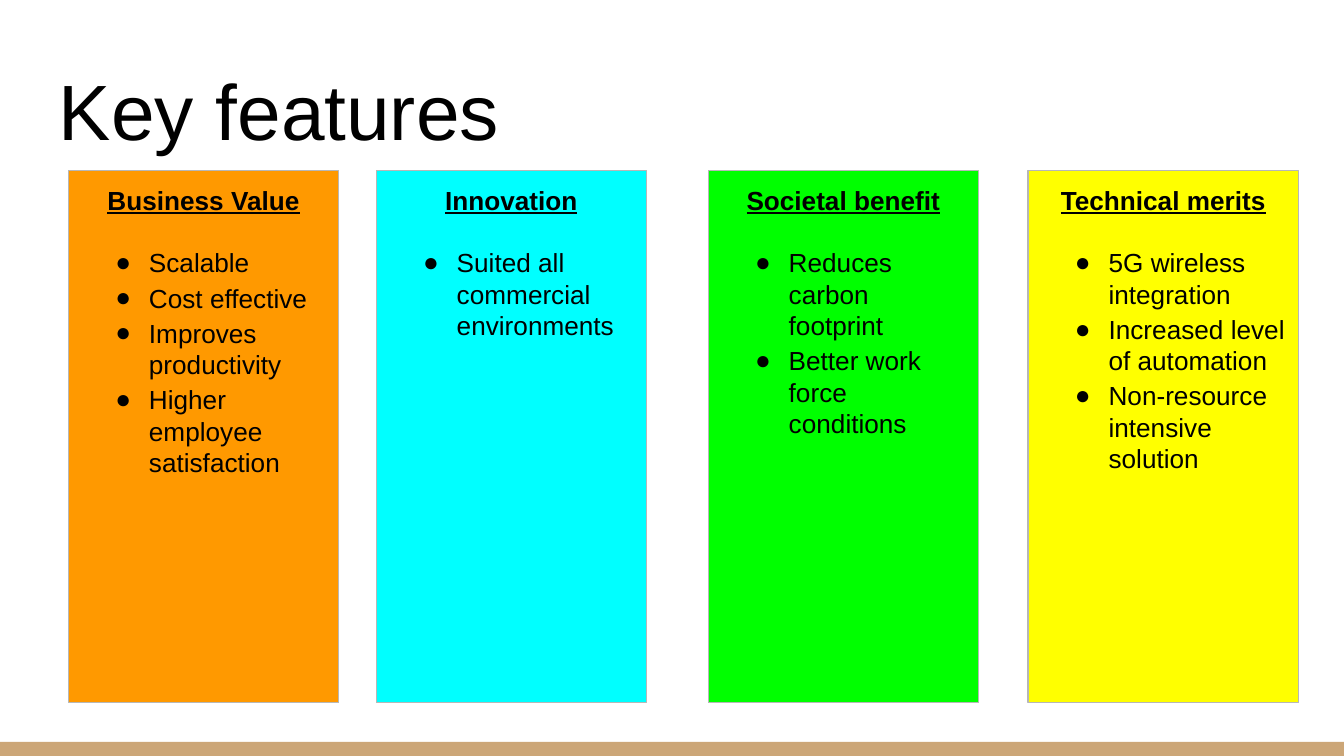
from lxml import etree
from pptx import Presentation
from pptx import util as u
from pptx.dml.color import RGBColor
from pptx.enum import shapes, text
from pptx.oxml.ns import qn

COLORS = {
    "text": "000000",
    "border": "B7B7B7",
    "footer": "CCA677",
    "orange": "FF9900",
    "cyan": "00FFFF",
    "green": "00FF00",
    "yellow": "FFFF00",
}
FONT = "Arial"
CARD_TOP, CARD_WIDTH, CARD_HEIGHT = 1.27, 2.01, 3.96

# Left edge, fill, heading, bullet points
FEATURES = [
    (0.51, "orange", "Business Value",
     ["Scalable", "Cost effective", "Improves productivity",
      "Higher employee satisfaction"]),
    (2.8, "cyan", "Innovation", ["Suited all commercial environments"]),
    (5.27, "green", "Societal benefit",
     ["Reduces carbon footprint", "Better work force conditions"]),
    (7.65, "yellow", "Technical merits",
     ["5G wireless integration", "Increased level of automation",
      "Non-resource intensive solution"]),
]


def set_frame(frame, anchor):
    frame.word_wrap = True
    frame.vertical_anchor = anchor
    frame.margin_left = frame.margin_right = u.Inches(0.1)
    frame.margin_top = frame.margin_bottom = u.Inches(0.1)


def write(paragraph, words, size=14, bold=False, underline=False,
          align=text.PP_ALIGN.LEFT, after=0, bullet=None):
    paragraph.alignment = align
    paragraph.space_after = u.Pt(after)
    run = paragraph.add_run()
    run.text = words
    font = run.font
    font.name, font.size = FONT, u.Pt(size)
    font.bold, font.underline = bold, underline
    font.color.rgb = RGBColor.from_string(COLORS["text"])
    if bullet:
        props = paragraph._p.get_or_add_pPr()
        props.set("marL", str(u.Inches(0.5)))
        props.set("indent", str(u.Inches(-0.25)))
        etree.SubElement(props, qn("a:buFont"), typeface=FONT)
        etree.SubElement(props, qn("a:buChar"), char=bullet)


def add_box(slide, left, top, width, height, fill, border=None):
    box = slide.shapes.add_shape(
        shapes.MSO_SHAPE.RECTANGLE,
        *map(u.Inches, (left, top, width, height)))
    box.shadow.inherit = False
    box.fill.solid()
    box.fill.fore_color.rgb = RGBColor.from_string(COLORS[fill])
    if border:
        box.line.color.rgb = RGBColor.from_string(COLORS[border])
        box.line.width = u.Pt(0.75)
    else:
        box.line.fill.background()
    return box


def add_title(slide, left, top, width, height, words):
    title = slide.shapes.add_textbox(
        *map(u.Inches, (left, top, width, height)))
    set_frame(title.text_frame, text.MSO_ANCHOR.BOTTOM)
    write(title.text_frame.paragraphs[0], words, size=42)


def add_feature(slide, left, top, width, height, fill, heading, points):
    card = add_box(slide, left, top, width, height, fill, border="border")
    frame = card.text_frame
    set_frame(frame, text.MSO_ANCHOR.TOP)
    # Space after the heading equals one line of text
    write(frame.paragraphs[0], heading, bold=True, underline=True,
          align=text.PP_ALIGN.CENTER, after=16.8)
    for point in points:
        write(frame.add_paragraph(), point, after=2, bullet="●")


def main():
    deck = Presentation()
    deck.slide_width, deck.slide_height = u.Inches(10), u.Inches(5.625)
    slide = deck.slides.add_slide(deck.slide_layouts[6])

    # Footer band
    add_box(slide, 0, 5.52, 10, 0.11, "footer")
    # Title
    add_title(slide, 0.34, 0.35, 9.32, 0.91, "Key features")
    # Feature columns
    for left, fill, heading, points in FEATURES:
        add_feature(slide, left, CARD_TOP, CARD_WIDTH, CARD_HEIGHT,
                    fill, heading, points)

    deck.save("out.pptx")


if __name__ == "__main__":
    main()
